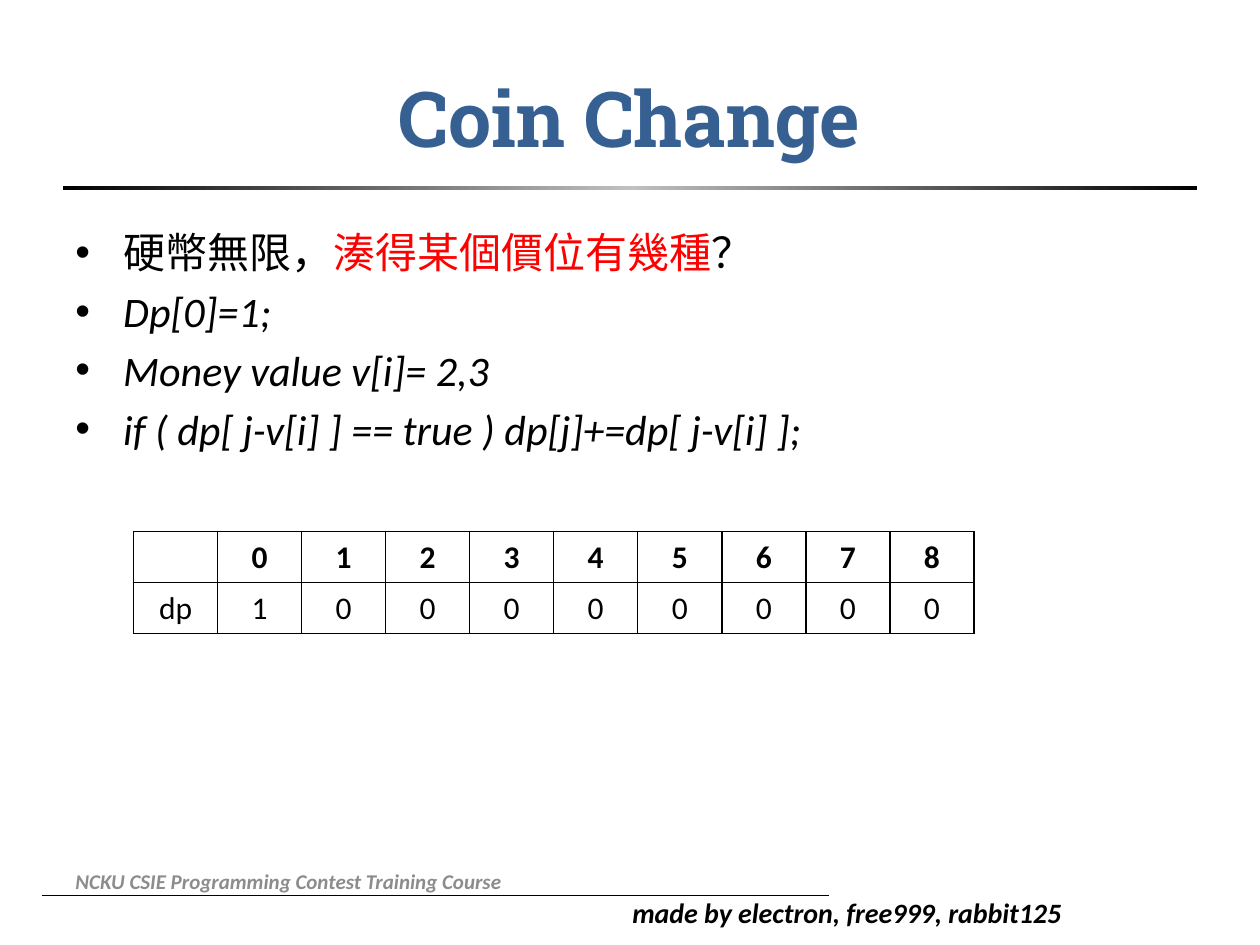
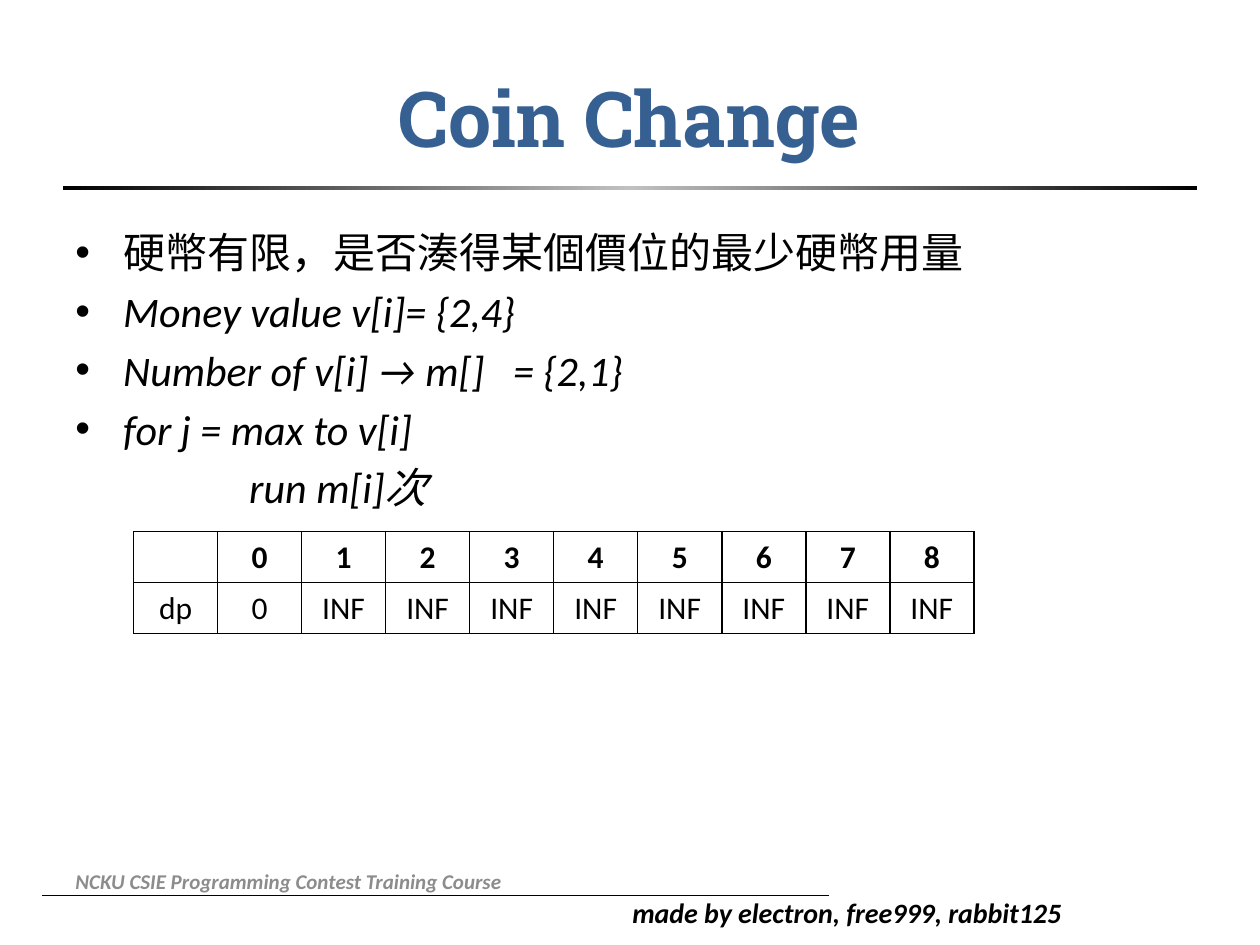
from dataclasses import dataclass

from lxml import etree
from pptx import Presentation
from pptx.dml.color import RGBColor
from pptx.enum.shapes import MSO_CONNECTOR, MSO_SHAPE
from pptx.enum.text import MSO_ANCHOR, PP_ALIGN
from pptx.oxml.ns import qn
from pptx.slide import Slide
from pptx.util import Inches, Pt

STRAIGHT = MSO_CONNECTOR.STRAIGHT
RECTANGLE = MSO_SHAPE.RECTANGLE
TOP, MIDDLE = MSO_ANCHOR.TOP, MSO_ANCHOR.MIDDLE
LEFT, CENTER = PP_ALIGN.LEFT, PP_ALIGN.CENTER


@dataclass(frozen=True)
class Theme:
    black: str = "000000"
    silver: str = "C0C0C0"
    grey: str = "8C8C8C"
    blue: str = "376092"
    red: str = "FF0000"
    title_font: str = "Roboto Slab"
    text_font: str = "Calibri"
    title_size: int = 44
    body_size: int = 24
    table_size: int = 18
    credit_size: int = 16
    footer_size: int = 12


THEME = Theme()


@dataclass(frozen=True)
class Style:
    size: int
    color: str = THEME.black
    font: str = THEME.text_font
    bold: bool = False
    italic: bool = False


@dataclass(frozen=True)
class Label:
    text: str
    left: float
    top: float
    width: float
    height: float
    style: Style
    align: PP_ALIGN = LEFT
    anchor: MSO_ANCHOR = MIDDLE


@dataclass(frozen=True)
class Span:
    text: str
    color: str = THEME.black
    extra_gap: float = 0


@dataclass(frozen=True)
class Line:
    spans: tuple[Span, ...]
    italic: bool = True
    bullet: bool = True


@dataclass(frozen=True)
class CoinPage:
    lines: tuple[Line, ...]
    dp: tuple[str, ...]


LABELS = (
    Label("made by electron, free999, rabbit125", 4.92, 7.06, 3.86, 0.37,
          Style(THEME.credit_size, bold=True, italic=True), anchor=TOP),
    Label("Coin Change", 0.5, 0.3, 9, 1.25,
          Style(THEME.title_size, THEME.blue, THEME.title_font, bold=True), CENTER),
    Label("NCKU CSIE Programming Contest Training Course", 0.5, 6.79, 5.05, 0.4,
          Style(THEME.footer_size, THEME.grey, bold=True, italic=True)),
)

PAGES = (
    CoinPage(
        lines=(
            Line((Span("硬幣無限，"), Span("湊得某個價位有幾種", THEME.red), Span("？")),
                 italic=False),
            Line((Span("Dp[0]=1;"),)),
            Line((Span("Money value v[i]= 2,3"),)),
            Line((Span("if ( dp[ j-v[i] ] == true ) dp[j]+=dp[ j-v[i] ];"),)),
        ),
        dp=("1",) + ("0",) * 8,
    ),
    CoinPage(
        lines=(
            Line((Span("硬幣有限，是否湊得某個價位的最少硬幣用量"),), italic=False),
            Line((Span("Money value v[i]= {2,4}"),)),
            Line((Span("Number of v[i] → m[]"), Span(" ", extra_gap=10.8), Span("= {2,1}"))),
            Line((Span("for j = max to v[i]"),)),
            Line((Span("run m[i]次"),), bullet=False),
        ),
        dp=("0",) + ("INF",) * 8,
    ),
)


def apply_style(span, style: Style) -> None:
    font = span.font
    font.name, font.size = style.font, Pt(style.size)
    font.bold, font.italic = style.bold, style.italic
    font.color.rgb = RGBColor.from_string(style.color)


def add_box(page: Slide, left: float, top: float, width: float, height: float,
            anchor: MSO_ANCHOR):
    box = page.shapes.add_textbox(Inches(left), Inches(top), Inches(width), Inches(height))
    box.text_frame.word_wrap = True
    box.text_frame.vertical_anchor = anchor
    return box


def add_label(page: Slide, label: Label) -> None:
    box = add_box(page, label.left, label.top, label.width, label.height, label.anchor)
    para = box.text_frame.paragraphs[0]
    para.text = label.text
    para.alignment = label.align
    apply_style(para.runs[0], label.style)


def add_solid_color(parent, color: str) -> None:
    etree.SubElement(parent, qn("a:srgbClr"), val=color)


def add_title_rule(page: Slide) -> None:
    rule = page.shapes.add_shape(RECTANGLE, Inches(0.5), Inches(1.48), Inches(9), Inches(0.03))
    rule.shadow.inherit = False
    rule.line.fill.background()
    rule.fill.gradient()
    rule.fill.gradient_angle = 0
    stops = next(rule.element.iter(qn("a:gsLst")))
    for stop in list(stops):
        stops.remove(stop)
    for percent, color in ((0, THEME.black), (50, THEME.silver), (100, THEME.black)):
        add_solid_color(etree.SubElement(stops, qn("a:gs"), pos=str(percent * 1000)), color)


def add_footer_line(page: Slide) -> None:
    line = page.shapes.add_connector(STRAIGHT, Inches(0.33), Inches(7.11),
                                     Inches(6.58), Inches(7.11))
    line.line.color.rgb = RGBColor.from_string(THEME.black)
    line.line.width = Pt(0.5)
    etree.SubElement(line.element.spPr, qn("a:effectLst"))


def add_body(page: Slide, lines: tuple[Line, ...]) -> None:
    frame = add_box(page, 0.5, 1.75, 9, 4.95, TOP).text_frame
    for index, line in enumerate(lines):
        para = frame.add_paragraph() if index else frame.paragraphs[0]
        para.space_before = Pt(THEME.body_size * 0.2)
        properties = para._p.get_or_add_pPr()
        properties.set("marL", str(Inches(0.38 if line.bullet else 1.38)))
        if line.bullet:
            properties.set("indent", str(Inches(-0.38)))
            etree.SubElement(properties, qn("a:buFont"), typeface="Arial")
            etree.SubElement(properties, qn("a:buChar"), char="•")
        for part in line.spans:
            span = para.add_run()
            span.text = part.text
            apply_style(span, Style(THEME.body_size, part.color, italic=line.italic))
            if part.extra_gap:
                span.font._element.set("spc", str(round(part.extra_gap * 100)))


def add_cell_borders(cell) -> None:
    properties = cell._tc.get_or_add_tcPr()
    for index, side in enumerate(("a:lnL", "a:lnR", "a:lnT", "a:lnB")):
        border = etree.Element(qn(side), w=str(Pt(1)))
        add_solid_color(etree.SubElement(border, qn("a:solidFill")), THEME.black)
        properties.insert(index, border)


def add_dp_table(page: Slide, dp: tuple[str, ...]) -> None:
    rows = (("", *map(str, range(len(dp)))), ("dp", *dp))
    table = page.shapes.add_table(len(rows), len(rows[0]), Inches(1.06), Inches(4.22),
                                  Inches(6.67), Inches(0.81)).table
    table.first_row = table.horz_banding = False
    for row_index, row in enumerate(rows):
        for column_index, value in enumerate(row):
            cell = table.cell(row_index, column_index)
            cell.fill.background()
            add_cell_borders(cell)
            para = cell.text_frame.paragraphs[0]
            para.text = value
            para.alignment = CENTER
            for span in para.runs:
                apply_style(span, Style(THEME.table_size, bold=row_index == 0))


def add_coin_page(deck, content: CoinPage) -> None:
    page = deck.slides.add_slide(deck.slide_layouts[6])
    add_footer_line(page)
    add_title_rule(page)
    for label in LABELS:
        add_label(page, label)
    add_body(page, content.lines)
    add_dp_table(page, content.dp)


def main() -> None:
    deck = Presentation()
    deck.slide_width, deck.slide_height = Inches(10), Inches(7.5)
    for content in PAGES:
        add_coin_page(deck, content)
    deck.save("out.pptx")


if __name__ == "__main__":
    main()
